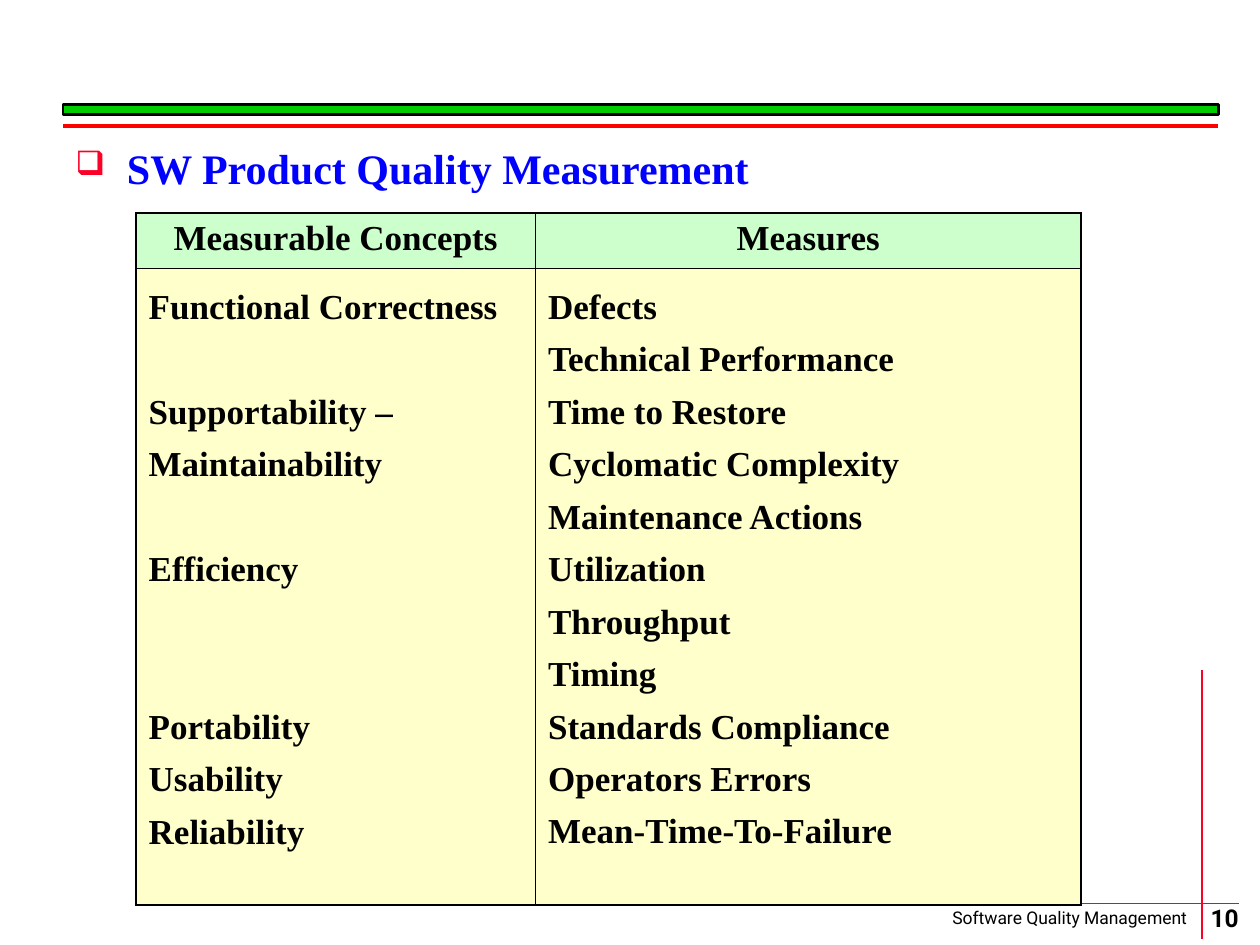
from pptx import Presentation
from pptx.dml.color import RGBColor
from pptx.enum.shapes import MSO_CONNECTOR, MSO_SHAPE
from pptx.enum.text import MSO_ANCHOR, PP_ALIGN
from pptx.oxml import parse_xml
from pptx.oxml.ns import nsdecls
from pptx.util import Inches, Pt

SERIF = "Times New Roman"
SANS = "Roboto"
BLACK = "000000"
RED = "FC0128"
LINE_PITCH = 30

HEADINGS = ["Measurable Concepts", "Measures"]
MEASURES = [
    ("Functional Correctness", "Defects"),
    ("", "Technical Performance"),
    ("Supportability –", "Time to Restore"),
    ("Maintainability", "Cyclomatic Complexity"),
    ("", "Maintenance Actions"),
    ("Efficiency", "Utilization"),
    ("", "Throughput"),
    ("", "Timing"),
    ("Portability", "Standards Compliance"),
    ("Usability", "Operators Errors"),
    ("Reliability", "Mean-Time-To-Failure"),
]


def color(hex_string):
    return RGBColor.from_string(hex_string)


def element(tag, attributes="", content=""):
    return parse_xml(f"<a:{tag} {nsdecls('a')} {attributes}>{content}</a:{tag}>")


class SlideBuilder:
    def __init__(self, page):
        self.page = page

    def line(self, start, end, hex_string, width):
        points = [Inches(value) for value in (*start, *end)]
        line = self.page.shapes.add_connector(MSO_CONNECTOR.STRAIGHT, *points)
        line.line.color.rgb = color(hex_string)
        line.line.width = Pt(width)
        line._element.spPr.append(element("effectLst"))

    def bar(self, place, fill, outline, width):
        bar = self.page.shapes.add_shape(
            MSO_SHAPE.RECTANGLE, *[Inches(value) for value in place])
        bar.shadow.inherit = False
        bar.fill.solid()
        bar.fill.fore_color.rgb = color(fill)
        bar.line.color.rgb = color(outline)
        bar.line.width = Pt(width)

    def span(self, para, text, size, font=SERIF, hex_string=BLACK, bold=True):
        span = para.add_run()
        span.text = text
        span.font.size = Pt(size)
        span.font.name = font
        span.font.bold = bold
        span.font.color.rgb = color(hex_string)

    def text(self, place, text, size, font=SERIF, hex_string=BLACK, bold=True,
             align=PP_ALIGN.LEFT, anchor=MSO_ANCHOR.TOP, margins=(0.1, 0.05),
             wrap=False):
        box = self.page.shapes.add_textbox(*[Inches(value) for value in place])
        frame = box.text_frame
        frame.word_wrap = wrap
        frame.vertical_anchor = anchor
        frame.margin_left = frame.margin_right = Inches(margins[0])
        frame.margin_top = frame.margin_bottom = Inches(margins[1])
        para = frame.paragraphs[0]
        para.alignment = align
        self.span(para, text, size, font, hex_string, bold)
        return para

    def bullet(self, para, mark, hex_string, percent, indent):
        para.space_before = Pt(16.5)
        properties = para._p.get_or_add_pPr()
        properties.set("marL", str(Inches(indent)))
        properties.set("indent", str(-Inches(indent)))
        properties.append(
            element("buClr", content=f'<a:srgbClr val="{hex_string}"/>'))
        properties.append(element("buSzPct", f'val="{percent * 1000}"'))
        properties.append(element("buChar", f'char="{mark}"'))

    def cell(self, cell, fill, borders):
        cell.fill.solid()
        cell.fill.fore_color.rgb = color(fill)
        properties = cell._tc.get_or_add_tcPr()
        paint = f'<a:solidFill><a:srgbClr val="{BLACK}"/></a:solidFill>'
        for index, (side, width) in enumerate(borders.items()):
            properties.insert(
                index, element(f"ln{side}", f'w="{Pt(width)}"', paint))

    def entries(self, frame, entries):
        para = frame.paragraphs[0]
        gap = 0
        for index, entry in enumerate(entries):
            if not entry:
                gap += LINE_PITCH
                continue
            if index:
                para = frame.add_paragraph()
            para.line_spacing = 1.35
            para.space_before = Pt(gap)
            self.span(para, entry, 20)
            gap = 0

    def table(self, place, widths, heights, headings, columns):
        table = self.page.shapes.add_table(
            2, len(widths), *[Inches(value) for value in place]).table
        for row, height in zip(table.rows, heights):
            row.height = Inches(height)
        outer, inner = 1.08, 0.45
        last = len(widths) - 1
        for index, width in enumerate(widths):
            table.columns[index].width = Inches(width)
            sides = {"L": inner if index else outer,
                     "R": outer if index == last else inner}
            header, body = table.cell(0, index), table.cell(1, index)
            self.cell(header, "CCFFCC", {**sides, "T": outer, "B": inner})
            self.cell(body, "FFFFCC", {**sides, "T": inner, "B": outer})
            para = header.text_frame.paragraphs[0]
            para.alignment = PP_ALIGN.CENTER
            self.span(para, headings[index], 20)
            self.entries(body.text_frame, columns[index])


def main():
    deck = Presentation()
    deck.slide_width = Inches(10)
    deck.slide_height = Inches(7.5)
    builder = SlideBuilder(deck.slides.add_slide(deck.slide_layouts[6]))

    builder.line((7.5, 7.17), (9.83, 7.17), RED, 1)
    builder.text((7.46, 7.15, 2.19, 0.27), "Software Quality Management", 10,
                 font=SANS, bold=False)
    builder.line((9.54, 5.32), (9.54, 7.45), RED, 1)
    builder.text((9.22, 7.15, 1, 0.27), "10", 14, font=SANS,
                 align=PP_ALIGN.CENTER, anchor=MSO_ANCHOR.MIDDLE, margins=(0, 0))
    builder.bar((0.5, 0.83, 9.17, 0.08), "00CC00", BLACK, 1.5)
    builder.line((0.5, 1), (9.67, 1), "FF0000", 2.25)

    title = builder.text((0.5, 1.08, 9.17, 6.02), "SW Product Quality Measurement",
                         24, hex_string="0000FF", wrap=True)
    builder.bullet(title, "❑", RED, 80, 0.41)
    builder.table((1.08, 1.69, 7.5, 5.49), (3.17, 4.33), (0.44, 5.05),
                  HEADINGS, list(zip(*MEASURES)))
    deck.save("out.pptx")


if __name__ == "__main__":
    main()
